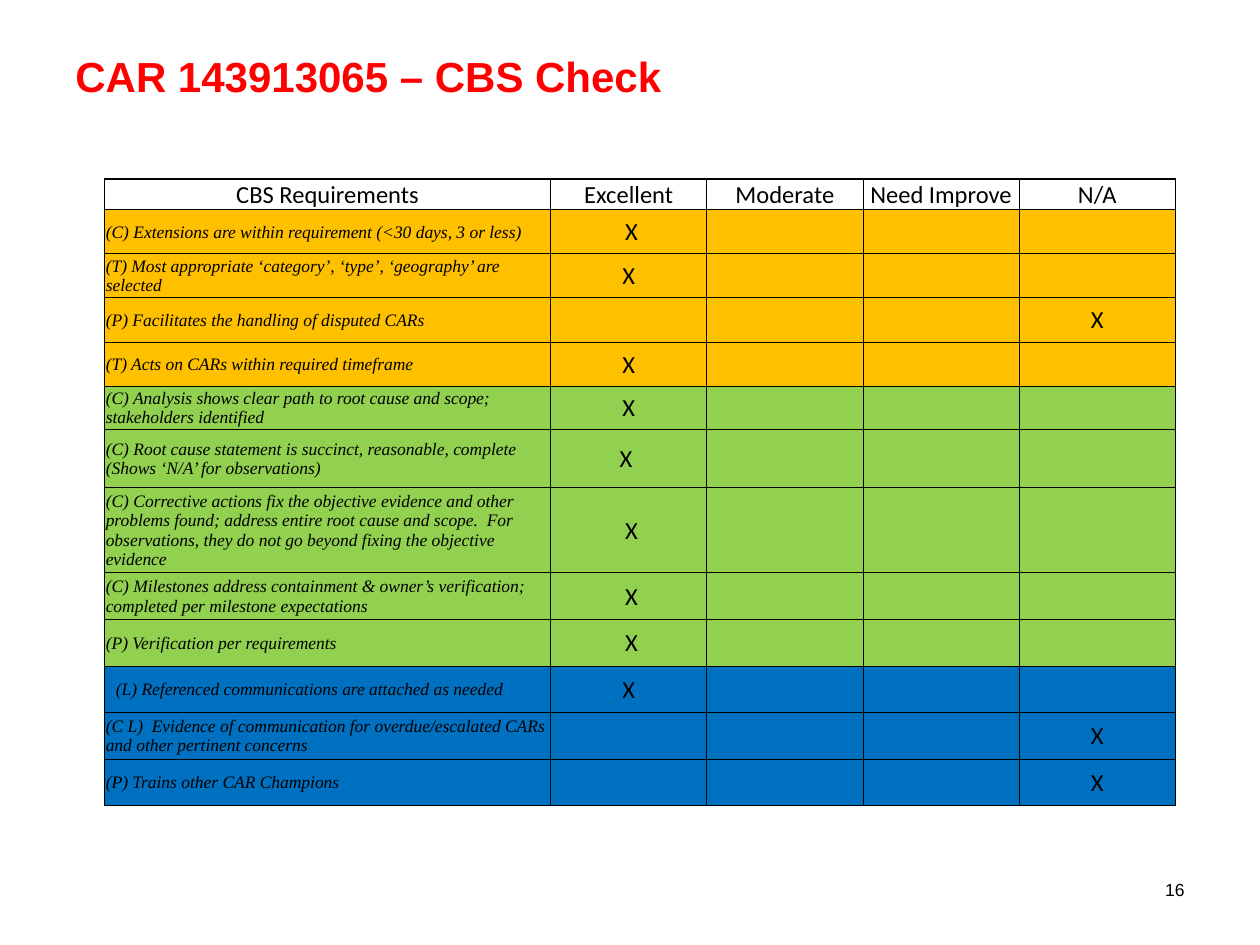
from lxml import etree
from pptx import Presentation
from pptx.dml.color import RGBColor
from pptx.enum.text import MSO_ANCHOR, PP_ALIGN
from pptx.oxml.ns import qn
from pptx.util import Inches, Pt

LEFT, CENTER, RIGHT = PP_ALIGN.LEFT, PP_ALIGN.CENTER, PP_ALIGN.RIGHT
TOP, MIDDLE, BOTTOM = MSO_ANCHOR.TOP, MSO_ANCHOR.MIDDLE, MSO_ANCHOR.BOTTOM

BLACK, RED = "000000", "FF0000"
AMBER, GREEN, BLUE = "FFC000", "92D050", "0070C0"
THIN, THICK = 0.5, 1

TITLE = {"name": "Arial", "size": Pt(24), "bold": True}
PAGE_NUMBER = {"name": "Arial", "size": Pt(10)}
GRADE = {"name": "Calibri", "size": Pt(14)}
REQUIREMENT = {"name": "Times New Roman", "size": Pt(10), "italic": True}

HEADINGS = ["CBS Requirements", "Excellent", "Moderate", "Need Improve", "N/A"]
EXCELLENT, NOT_APPLICABLE = 1, 4
COLUMN_WIDTHS = [3.54] + [1.24] * 4
HEADER_HEIGHT = 0.21
INDENTED = "(L)"

# fill, row height, requirement, marked column, mark
CHECKS = [
    (AMBER, 0.35, "(C) Extensions are within requirement (<30 days, 3 or less)", EXCELLENT, " X"),
    (AMBER, 0.35, "(T) Most appropriate ‘category’, ‘type’, ‘geography’ are selected", EXCELLENT, "X"),
    (AMBER, 0.35, "(P) Facilitates the handling of disputed CARs", NOT_APPLICABLE, "X"),
    (AMBER, 0.35, "(T) Acts on CARs within required timeframe", EXCELLENT, "X"),
    (GREEN, 0.33, "(C) Analysis shows clear path to root cause and scope; stakeholders identified",
     EXCELLENT, "X"),
    (GREEN, 0.46, "(C) Root cause statement is succinct, reasonable, complete "
     "(Shows ‘N/A’ for observations)", EXCELLENT, "X "),
    (GREEN, 0.5, "(C) Corrective actions fix the objective evidence and other problems found; "
     "address entire root cause and scope.  For observations, they do not go beyond "
     "fixing the objective evidence", EXCELLENT, " X"),
    (GREEN, 0.37, "(C) Milestones address containment & owner’s verification; "
     "completed per milestone expectations", EXCELLENT, " X"),
    (GREEN, 0.37, "(P) Verification per requirements", EXCELLENT, " X"),
    (BLUE, 0.37, "(L) Referenced communications are attached as needed", EXCELLENT, "X"),
    (BLUE, 0.37, "(C L)  Evidence of communication for overdue/escalated CARs "
     "and other pertinent concerns", NOT_APPLICABLE, "X"),
    (BLUE, 0.37, "(P) Trains other CAR Champions", NOT_APPLICABLE, "X"),
]


def rgb(value):
    return RGBColor.from_string(value)


class Page:
    """Holds the slide and the ways of putting elements on it."""

    def __init__(self, slide):
        self.slide = slide

    def fill_text(self, frame, text, style, color=BLACK, align=LEFT):
        para = frame.paragraphs[0]
        para.alignment = align
        span = para.add_run()
        span.text = text
        for name, value in style.items():
            setattr(span.font, name, value)
        span.font.color.rgb = rgb(color)

    def text(self, left, top, width, height, text, style, color=BLACK,
             align=LEFT, anchor=TOP, margin_top=0.05):
        box = self.slide.shapes.add_textbox(
            Inches(left), Inches(top), Inches(width), Inches(height))
        frame = box.text_frame
        frame.word_wrap = True
        frame.vertical_anchor = anchor
        frame.margin_top = Inches(margin_top)
        self.fill_text(frame, text, style, color, align)

    def table(self, left, top, widths, heights):
        """Add a plain grid with thin inner lines and a thick outline."""
        frame = self.slide.shapes.add_table(
            len(heights), len(widths), Inches(left), Inches(top),
            Inches(sum(widths)), Inches(sum(heights)))
        table = frame.table
        table.first_row = table.horz_banding = False
        for column, width in zip(table.columns, widths):
            column.width = Inches(width)
        for row, height in zip(table.rows, heights):
            row.height = Inches(height)
        last_row, last_column = len(heights) - 1, len(widths) - 1
        for r in range(len(heights)):
            for c in range(len(widths)):
                outer = {"lnL": c == 0, "lnR": c == last_column,
                         "lnT": r == 0, "lnB": r == last_row}
                self.border(table.cell(r, c), outer)
        return table

    def border(self, cell, outer):
        properties = cell._tc.get_or_add_tcPr()
        for side, is_outer in outer.items():
            width = Pt(THICK if is_outer else THIN)
            line = etree.SubElement(properties, qn(f"a:{side}"), w=str(width))
            fill = etree.SubElement(line, qn("a:solidFill"))
            etree.SubElement(fill, qn("a:srgbClr"), val=BLACK)

    def cell(self, cell, fill=None, text="", style=GRADE, align=CENTER,
             anchor=MIDDLE, indent=0.01):
        margins = {"left": indent, "top": 0.01, "right": 0.01, "bottom": 0}
        for side, margin in margins.items():
            setattr(cell, f"margin_{side}", Inches(margin))
        cell.vertical_anchor = anchor
        if fill:
            cell.fill.solid()
            cell.fill.fore_color.rgb = rgb(fill)
        else:
            cell.fill.background()
        if text:
            self.fill_text(cell.text_frame, text, style, align=align)


def main():
    deck = Presentation()
    deck.slide_width, deck.slide_height = Inches(10), Inches(7.5)
    page = Page(deck.slides.add_slide(deck.slide_layouts[6]))

    page.text(0.5, 0.3, 9, 1.25, "CAR 143913065 – CBS Check", TITLE, RED, margin_top=0.1)
    page.text(8.8, 6.86, 0.7, 0.4, "16", PAGE_NUMBER, align=RIGHT, anchor=MIDDLE)

    heights = [HEADER_HEIGHT] + [check[1] for check in CHECKS]
    table = page.table(0.83, 1.42, COLUMN_WIDTHS, heights)
    for column, heading in enumerate(HEADINGS):
        page.cell(table.cell(0, column), text=heading, anchor=BOTTOM)
    for row, (fill, _, requirement, marked, mark) in enumerate(CHECKS, start=1):
        indent = 0.09 if requirement.startswith(INDENTED) else 0.01
        page.cell(table.cell(row, 0), fill, requirement, REQUIREMENT, LEFT, indent=indent)
        for column in range(1, len(HEADINGS)):
            page.cell(table.cell(row, column), fill, mark if column == marked else "")

    deck.save("out.pptx")


if __name__ == "__main__":
    main()
